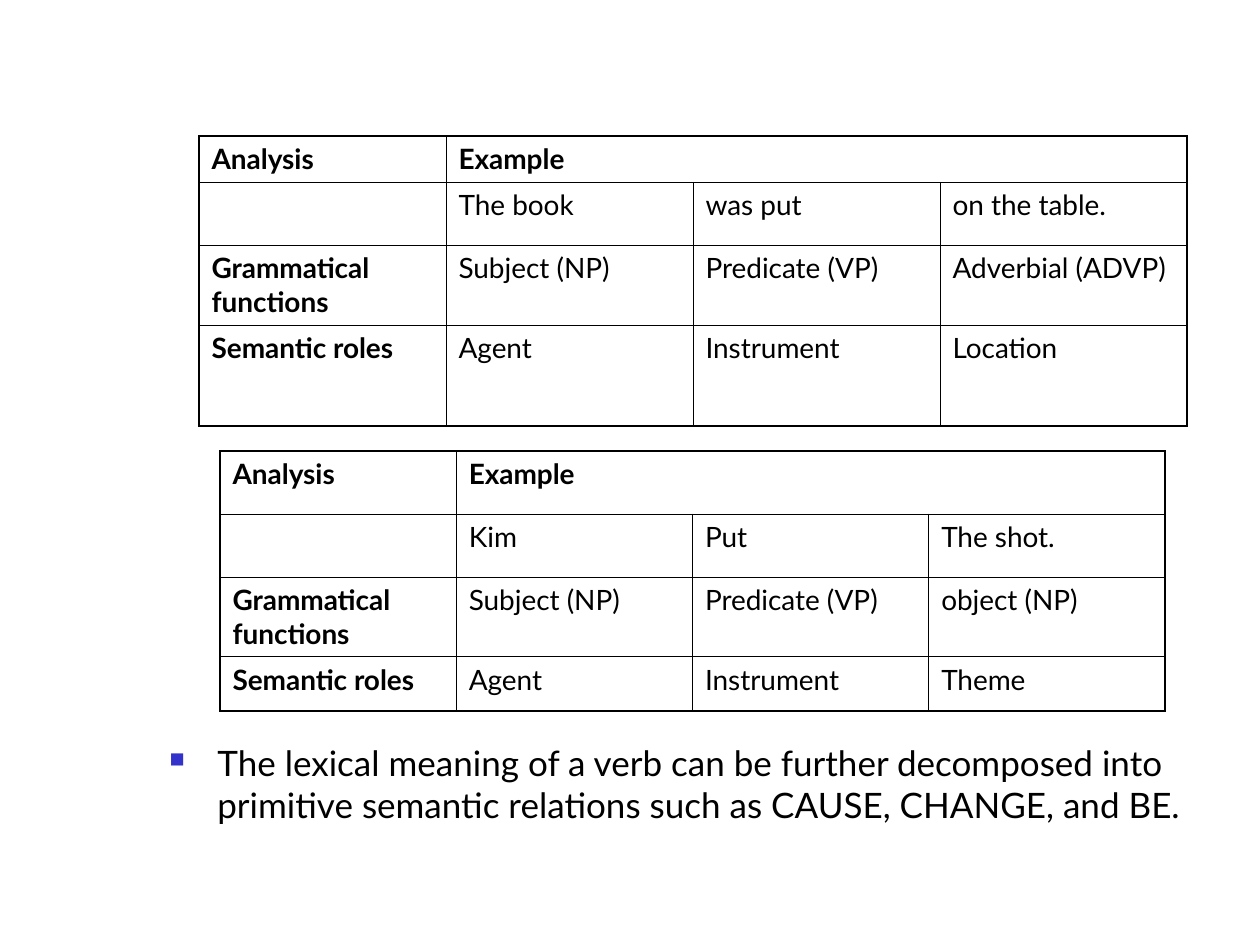
from lxml.etree import SubElement
from pptx import Presentation
from pptx.dml.color import RGBColor
from pptx.oxml.ns import qn
from pptx.util import Pt

SCALE = 914400 // 126

THEME = {
    "ink": "000000",
    "mark": "3333CC",
    "face": "Lato",
    "cell": 16,
    "body": 20,
    "thin": 0.45,
    "thick": 1.08,
}


def px(num):
    return num * SCALE


def write(par, text, size, bold=False):
    run = par.add_run()
    run.text = text
    look = {"name": THEME["face"], "size": Pt(size), "bold": bold}
    for key, val in look.items():
        setattr(run.font, key, val)
    run.font.color.rgb = RGBColor.from_string(THEME["ink"])


def edge(cell, outer):
    props = cell._tc.get_or_add_tcPr()
    for side in "LRTB":
        width = Pt(THEME["thick" if side in outer else "thin"])
        line = SubElement(props, qn(f"a:ln{side}"), w=str(int(width)))
        fill = SubElement(line, qn("a:solidFill"))
        SubElement(fill, qn("a:srgbClr"), val=THEME["ink"])


def grid(slide, box, rows, data):
    left, top, width, height = box
    cols = len(data[1])
    frame = slide.shapes.add_table(
        len(data), cols, px(left), px(top), px(width), px(height))
    table = frame.table
    for flag in ("first_row", "horz_banding"):
        setattr(table, flag, False)
    for col in table.columns:
        col.width = px(width) // cols
    for row, tall in zip(table.rows, rows):
        row.height = px(tall)
    table.cell(0, 1).merge(table.cell(0, cols - 1))
    for r, line in enumerate(data):
        for c in range(cols):
            cell = table.cell(r, c)
            sides = {
                "L": c == 0,
                "R": c == cols - 1 or cell.is_merge_origin,
                "T": r == 0,
                "B": r == len(data) - 1,
            }
            edge(cell, [side for side, on in sides.items() if on])
            cell.fill.background()
            if c < len(line) and line[c]:
                par = cell.text_frame.paragraphs[0]
                write(par, line[c], THEME["cell"], r == 0 or c == 0)


def note(slide, box, text):
    shape = slide.shapes.add_textbox(*map(px, box))
    shape.text_frame.word_wrap = True
    par = shape.text_frame.paragraphs[0]
    props = par._p.get_or_add_pPr()
    for key, val in {"marL": px(48), "indent": -px(48)}.items():
        props.set(key, str(val))
    color = SubElement(props, qn("a:buClr"))
    SubElement(color, qn("a:srgbClr"), val=THEME["mark"])
    SubElement(props, qn("a:buSzPct"), val="60000")
    SubElement(props, qn("a:buChar"), char="■")
    write(par, text, THEME["body"])


def main():
    deck = Presentation()
    deck.slide_width, deck.slide_height = px(1260), px(945)
    slide = deck.slides.add_slide(deck.slide_layouts[6])
    head = ["Analysis", "Example"]
    parts = ["Grammatical functions", "Subject (NP)", "Predicate (VP)"]
    roles = ["Semantic roles", "Agent", "Instrument"]
    grid(slide, (199, 136, 988, 290), (46, 63, 80, 101), [
        head,
        ["", "The book", "was put", "on the table."],
        parts + ["Adverbial (ADVP)"],
        roles + ["Location"],
    ])
    grid(slide, (220, 451, 945, 260), (63, 63, 80, 54), [
        head,
        ["", "Kim", "Put", "The shot."],
        parts + ["object (NP)"],
        roles + ["Theme"],
    ])
    note(slide, (157, 735, 1071, 168),
         "The lexical meaning of a verb can be further decomposed into "
         "primitive semantic relations such as CAUSE, CHANGE, and BE.")
    deck.save("out.pptx")


if __name__ == "__main__":
    main()
